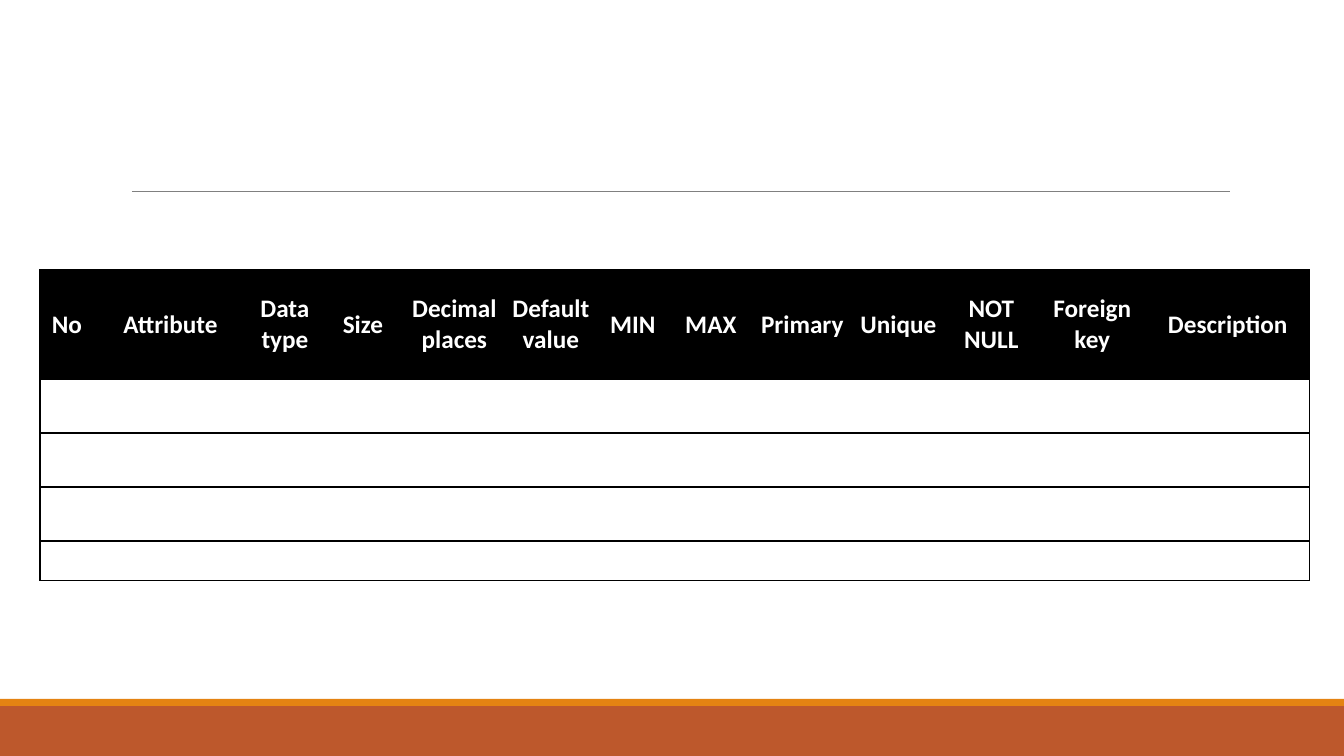
from lxml.etree import SubElement
from pptx import Presentation
from pptx.dml.color import RGBColor
from pptx.enum.shapes import MSO_CONNECTOR, MSO_SHAPE
from pptx.enum.text import MSO_ANCHOR, PP_ALIGN
from pptx.oxml.ns import qn
from pptx.util import Emu, Pt

BLACK = RGBColor(0x00, 0x00, 0x00)
WHITE = RGBColor(0xFF, 0xFF, 0xFF)
GREY = RGBColor(0x80, 0x80, 0x80)
ORANGE = RGBColor(0xE4, 0x83, 0x12)
RUST = RGBColor(0xBD, 0x58, 0x2C)

WIDTH, HEIGHT = 1344, 756
COLUMNS = [
    ("No", 54), ("Attribute", 153), ("Data type", 76), ("Size", 80),
    ("Decimal places", 103), ("Default value", 90), ("MIN", 74), ("MAX", 82),
    ("Primary", 101), ("Unique", 91), ("NOT NULL", 95), ("Foreign key", 107),
    ("Description", 164),
]
ROW_HEIGHTS = [109, 54, 54, 54, 40]
TABLE_LEFT, TABLE_TOP = 40, 270
BANDS = [(706, 50, RUST), (699, 7, ORANGE)]
RULE_LEFT, RULE_RIGHT, RULE_TOP = 132, 1230, 191


def px(length):
    return Emu(round(length * 914400 / 100.8))


def add_band(page, top, height, color):
    band = page.shapes.add_shape(MSO_SHAPE.RECTANGLE, 0, px(top), px(WIDTH), px(height))
    band.shadow.inherit = False
    band.fill.solid()
    band.fill.fore_color.rgb = color
    band.line.fill.background()


def add_rule(page):
    rule = page.shapes.add_connector(
        MSO_CONNECTOR.STRAIGHT, px(RULE_LEFT), px(RULE_TOP), px(RULE_RIGHT), px(RULE_TOP))
    rule.line.color.rgb = GREY
    rule.line.width = Pt(0.5)
    SubElement(rule.element.spPr, qn("a:effectLst"))


def set_border(cell, side, visible):
    border = SubElement(cell._tc.get_or_add_tcPr(), qn(f"a:ln{side}"), w=str(Pt(1)))
    if visible:
        fill = SubElement(border, qn("a:solidFill"))
        SubElement(fill, qn("a:srgbClr"), val=str(BLACK))
    else:
        SubElement(border, qn("a:noFill"))


def format_cell(cell, color, first, last):
    for side, visible in (("L", first), ("R", last), ("T", True), ("B", True)):
        set_border(cell, side, visible)
    cell.fill.solid()
    cell.fill.fore_color.rgb = color
    cell.margin_left = cell.margin_right = px(6)
    cell.margin_top = cell.margin_bottom = 0
    cell.vertical_anchor = MSO_ANCHOR.MIDDLE


def write_heading(cell, heading):
    para = cell.text_frame.paragraphs[0]
    para.text = heading
    para.alignment = PP_ALIGN.CENTER
    para.space_before = para.space_after = Pt(6)
    font = para.runs[0].font
    font.name = "Calibri"
    font.size = Pt(18)
    font.bold = True
    font.color.rgb = WHITE


def add_attribute_table(page):
    table_width = sum(width for heading, width in COLUMNS)
    table = page.shapes.add_table(
        len(ROW_HEIGHTS), len(COLUMNS), px(TABLE_LEFT), px(TABLE_TOP),
        px(table_width), px(sum(ROW_HEIGHTS))).table
    for row, height in zip(table.rows, ROW_HEIGHTS):
        row.height = px(height)
    for index, (heading, width) in enumerate(COLUMNS):
        table.columns[index].width = px(width)
        for row in range(len(ROW_HEIGHTS)):
            color = WHITE if row else BLACK
            format_cell(table.cell(row, index), color, index == 0, index == len(COLUMNS) - 1)
        write_heading(table.cell(0, index), heading)


def main():
    deck = Presentation()
    deck.slide_width, deck.slide_height = px(WIDTH), px(HEIGHT)
    page = deck.slides.add_slide(deck.slide_layouts[6])
    for top, height, color in BANDS:
        add_band(page, top, height, color)
    add_rule(page)
    add_attribute_table(page)
    deck.save("out.pptx")


if __name__ == "__main__":
    main()
